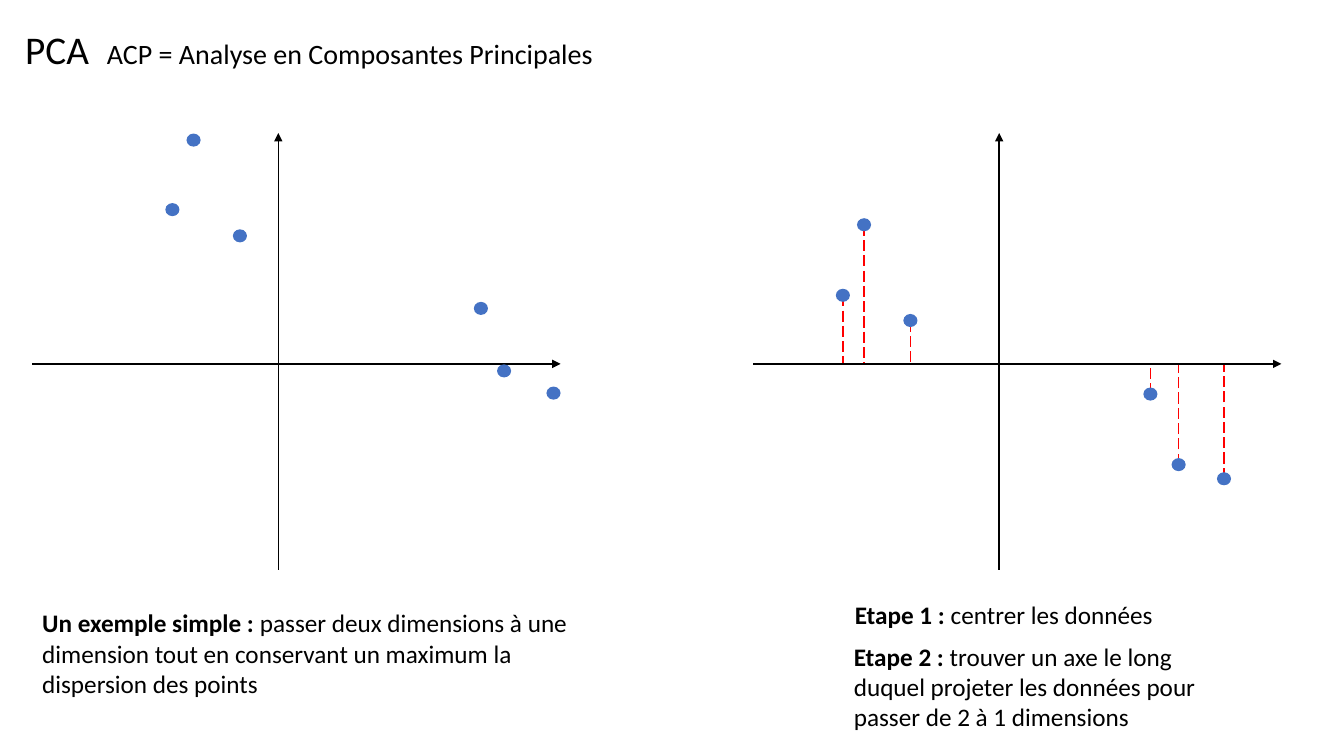
from dataclasses import dataclass

from lxml.etree import SubElement
from pptx import Presentation
from pptx.dml.color import RGBColor
from pptx.enum.dml import MSO_LINE_DASH_STYLE as Dash
from pptx.enum.shapes import MSO_CONNECTOR_TYPE as Connector, MSO_SHAPE as Shape
from pptx.enum.text import MSO_ANCHOR as Anchor, MSO_AUTO_SIZE as AutoSize, PP_ALIGN as Align
from pptx.oxml.ns import qn
from pptx.util import Inches, Pt


@dataclass(frozen=True)
class Theme:
    font: str = "Calibri"
    ink: RGBColor = RGBColor(0x00, 0x00, 0x00)
    point: RGBColor = RGBColor(0x44, 0x72, 0xC4)
    projection: RGBColor = RGBColor(0xFF, 0x00, 0x00)
    title_size: int = 28
    subtitle_size: int = 20
    body_size: int = 18
    line_width: int = 1


THEME = Theme()
POINT_W, POINT_H = 0.14, 0.13
PLANE_W, PLANE_H = 5.24, 4.33
ORIGIN_X, ORIGIN_Y = 2.44, 2.29  # from the top left corner of a plane

# Coordinates in inches from the origin, y upwards
RAW_POINTS = [(2.24, -0.07), (2.73, -0.29), (2.01, 0.55),
              (-0.38, 1.27), (-1.05, 1.53), (-0.84, 2.22)]
CENTRED_POINTS = [(1.78, -1.0), (2.23, -1.14), (1.5, -0.3),
                  (-0.88, 0.43), (-1.55, 0.68), (-1.34, 1.38)]


def style_run(run, size, bold=False):
    run.font.name = THEME.font
    run.font.size = Pt(size)
    run.font.bold = bold
    run.font.color.rgb = THEME.ink


def add_line(shapes, start, end, color):
    line = shapes.add_connector(Connector.STRAIGHT, *map(Inches, start + end))
    line.line.color.rgb = color
    line.line.width = Pt(THEME.line_width)
    SubElement(line._element.spPr, qn("a:effectLst"))
    return line


def add_axis(shapes, start, end):
    axis = add_line(shapes, start, end, THEME.ink)
    SubElement(axis.line._get_or_add_ln(), qn("a:tailEnd"), type="triangle")


def add_projections(slide, left, top, points):
    """Drop a dashed line from each point to the horizontal axis."""
    shapes = slide.shapes.add_group_shape().shapes
    axis_y = top + ORIGIN_Y
    for x, y in points:
        x += left + ORIGIN_X
        line = add_line(shapes, (x, axis_y - y), (x, axis_y), THEME.projection)
        line.line.dash_style = Dash.LONG_DASH


def add_plane(slide, left, top, points):
    shapes = slide.shapes.add_group_shape().shapes
    origin_x, origin_y = left + ORIGIN_X, top + ORIGIN_Y
    add_axis(shapes, (origin_x, top + PLANE_H), (origin_x, top))
    add_axis(shapes, (left, origin_y), (left + PLANE_W, origin_y))
    for x, y in points:
        point = shapes.add_shape(
            Shape.OVAL,
            Inches(origin_x + x - POINT_W / 2), Inches(origin_y - y - POINT_H / 2),
            Inches(POINT_W), Inches(POINT_H))
        point.shadow.inherit = False
        point.fill.solid()
        point.fill.fore_color.rgb = THEME.point
        point.line.fill.background()


def add_title(slide, left, top, width, height):
    title = slide.shapes.title
    title.left, title.top, title.width, title.height = map(Inches, (left, top, width, height))
    frame = title.text_frame
    frame.word_wrap = True
    frame.auto_size = AutoSize.NONE
    frame.vertical_anchor = Anchor.TOP
    paragraph = frame.paragraphs[0]
    paragraph.alignment = Align.LEFT
    paragraph.line_spacing = 1.0
    paragraph.space_before = Pt(0)
    tabs = SubElement(paragraph._p.get_or_add_pPr(), qn("a:tabLst"))
    SubElement(tabs, qn("a:tab"), pos=str(Inches(0.81)), algn="l")
    for text, size in (("PCA\t", THEME.title_size),
                       ("ACP = Analyse en Composantes Principales", THEME.subtitle_size)):
        run = paragraph.add_run()
        run.text = text
        style_run(run, size)


def add_caption(slide, left, top, width, height, heading, explanation):
    box = slide.shapes.add_textbox(*map(Inches, (left, top, width, height)))
    frame = box.text_frame
    frame.word_wrap = True
    frame.auto_size = AutoSize.SHAPE_TO_FIT_TEXT
    for text, bold in ((heading, True), (explanation, False)):
        run = frame.paragraphs[0].add_run()
        run.text = text
        style_run(run, THEME.body_size, bold)


def build_pca_slide(prs):
    slide = prs.slides.add_slide(prs.slide_layouts.get_by_name("Title Only"))
    add_title(slide, 0.15, 0.2, 8.22, 0.57)
    add_plane(slide, 0.32, 1.32, RAW_POINTS)
    add_projections(slide, 7.47, 1.32, CENTRED_POINTS)
    add_plane(slide, 7.47, 1.32, CENTRED_POINTS)
    add_caption(slide, 0.32, 5.98, 5.5, 1.01, "Un exemple simple : ",
                "passer deux dimensions à une dimension tout en conservant "
                "un maximum la dispersion des points")
    add_caption(slide, 8.38, 5.9, 3.24, 0.4, "Etape 1 : ", "centrer les données")
    add_caption(slide, 8.37, 6.31, 4.02, 1.01, "Etape 2 : ",
                "trouver un axe le long duquel projeter les données pour "
                "passer de 2 à 1 dimensions")


def main():
    prs = Presentation()
    prs.slide_width, prs.slide_height = Inches(13.33), Inches(7.5)
    build_pca_slide(prs)
    prs.save("out.pptx")


if __name__ == "__main__":
    main()
